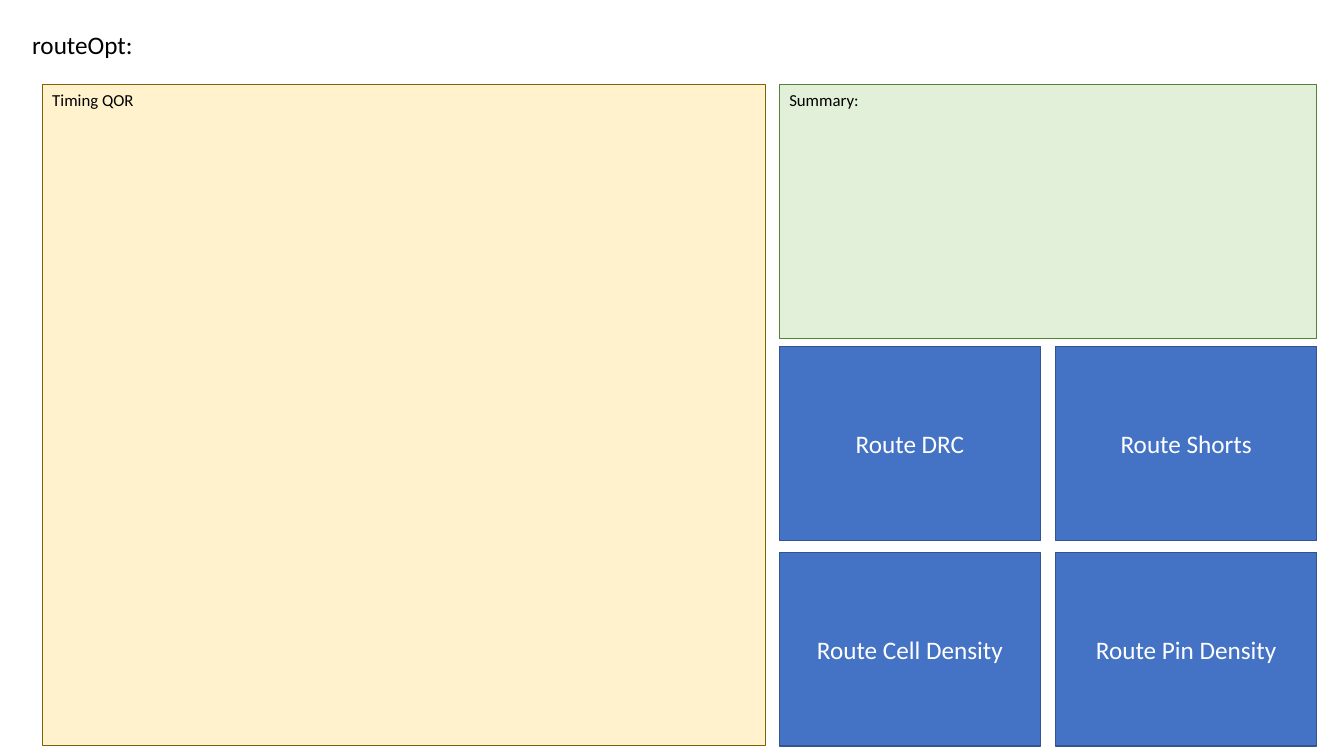
from pptx import Presentation
from pptx.dml.color import RGBColor
from pptx.enum.shapes import MSO_SHAPE
from pptx.enum.text import MSO_ANCHOR, PP_ALIGN
from pptx.util import Inches, Pt

FONT = "Calibri"
TOP, BOTTOM = 0.84, 7.4
TIMING_LEFT, TIMING_WIDTH = 0.42, 7.17
RIGHT_LEFT, RIGHT_WIDTH = 7.73, 5.33
SUMMARY_HEIGHT = 2.52
MAPS_TOP = 3.44
COLUMN_GAP, ROW_GAP = 0.15, 0.12
ROUTE_MAPS = [
    ["Route DRC", "Route Shorts"],
    ["Route Cell Density", "Route Pin Density"],
]


def color(hex_value):
    return RGBColor.from_string(hex_value)


def write_text(shape, text, size, text_color, align, anchor):
    frame = shape.text_frame
    frame.word_wrap = True
    frame.vertical_anchor = anchor
    paragraph = frame.paragraphs[0]
    paragraph.alignment = align
    run = paragraph.add_run()
    run.text = text
    run.font.name = FONT
    run.font.size = Pt(size)
    run.font.color.rgb = color(text_color)


def add_box(slide, box, fill, line, line_width):
    shape = slide.shapes.add_shape(MSO_SHAPE.RECTANGLE, *map(Inches, box))
    shape.shadow.inherit = False
    shape.fill.solid()
    shape.fill.fore_color.rgb = color(fill)
    shape.line.color.rgb = color(line)
    shape.line.width = Pt(line_width)
    return shape


def add_title(slide, box, text):
    title = slide.shapes.add_textbox(*map(Inches, box))
    write_text(title, text, 18, "000000", PP_ALIGN.LEFT, MSO_ANCHOR.TOP)


def add_panel(slide, box, text, fill, line):
    """Add a pale notes panel with its heading in the top left corner."""
    panel = add_box(slide, box, fill, line, 0.75)
    write_text(panel, text, 12, "000000", PP_ALIGN.LEFT, MSO_ANCHOR.TOP)


def add_route_maps(slide, box):
    """Fill the box with an even grid of labelled blue tiles."""
    left, top, width, height = box
    rows, columns = len(ROUTE_MAPS), len(ROUTE_MAPS[0])
    tile_width = (width - COLUMN_GAP * (columns - 1)) / columns
    tile_height = (height - ROW_GAP * (rows - 1)) / rows
    for row, labels in enumerate(ROUTE_MAPS):
        for column, label in enumerate(labels):
            tile_left = left + column * (tile_width + COLUMN_GAP)
            tile_top = top + row * (tile_height + ROW_GAP)
            tile = add_box(slide, (tile_left, tile_top, tile_width, tile_height),
                           "4472C4", "325491", 1)
            write_text(tile, label, 18, "FFFFFF", PP_ALIGN.CENTER, MSO_ANCHOR.MIDDLE)


def main():
    presentation = Presentation()
    presentation.slide_width = Inches(13.33)
    presentation.slide_height = Inches(7.5)
    slide = presentation.slides.add_slide(presentation.slide_layouts[6])
    add_panel(slide, (TIMING_LEFT, TOP, TIMING_WIDTH, BOTTOM - TOP),
              "Timing QOR", "FFF2CC", "806000")
    add_route_maps(slide, (RIGHT_LEFT, MAPS_TOP, RIGHT_WIDTH, BOTTOM - MAPS_TOP))
    add_title(slide, (0.22, 0.24, 6.79, 0.4), "routeOpt:")
    add_panel(slide, (RIGHT_LEFT, TOP, RIGHT_WIDTH, SUMMARY_HEIGHT),
              "Summary:", "E2F0D9", "548235")
    presentation.save("out.pptx")


if __name__ == "__main__":
    main()
